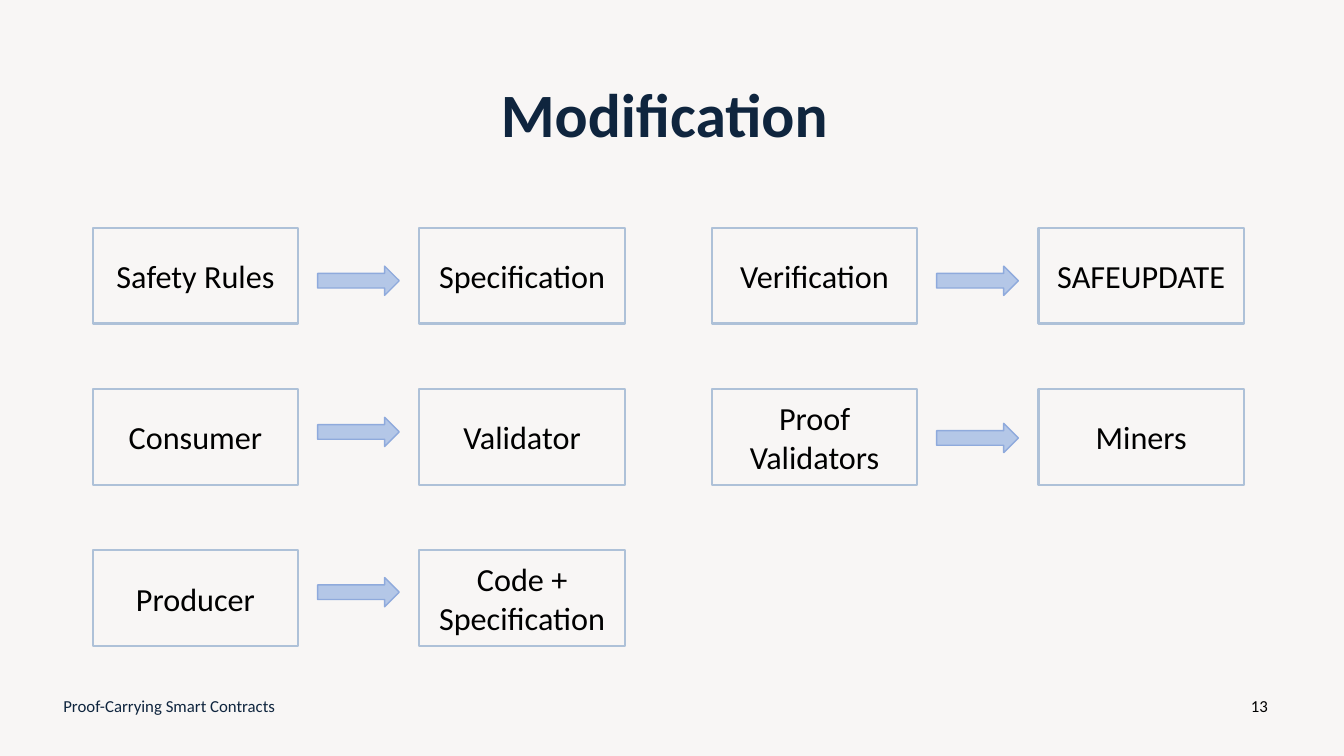
from pptx import Presentation
from pptx.dml.color import RGBColor
from pptx.enum.shapes import MSO_SHAPE
from pptx.enum.text import MSO_ANCHOR, PP_ALIGN
from pptx.util import Inches, Pt

RECTANGLE = MSO_SHAPE.RECTANGLE
RIGHT_ARROW = MSO_SHAPE.RIGHT_ARROW
MIDDLE = MSO_ANCHOR.MIDDLE
LEFT = PP_ALIGN.LEFT
CENTER = PP_ALIGN.CENTER

FONT = "Calibri"
BACKGROUND = "F8F6F5"
NAVY = "0F253E"
BLACK = "000000"
BOX_LINE = "AEC1D8"
ARROW_FILL = "B4C7E7"
ARROW_LINE = "8FAADC"

# Layout of the term pairs
FIRST_ROW, ROW_STEP = 2.26, 1.6
BOX_WIDTH, BOX_HEIGHT = 2.04, 0.95
TARGET_OFFSET, ARROW_OFFSET = 3.24, 2.23

# Left edge of each column, with (old term, new term, arrow top) per row
COLUMNS = [
    (0.92, [
        ("Safety Rules", "Specification", 2.64),
        ("Consumer", "Validator", 4.14),
        ("Producer", "Code + Specification", 5.73),
    ]),
    (7.06, [
        ("Verification", "SAFEUPDATE", 2.64),
        ("Proof Validators", "Miners", 4.2),
    ]),
]


def color(value):
    return RGBColor.from_string(value)


def write_text(shape, text, size, text_color, alignment=CENTER, bold=False):
    frame = shape.text_frame
    frame.word_wrap = True
    frame.vertical_anchor = MIDDLE
    paragraph = frame.paragraphs[0]
    paragraph.text = text
    paragraph.alignment = alignment
    paragraph.font.name = FONT
    paragraph.font.size = Pt(size)
    paragraph.font.bold = bold
    paragraph.font.color.rgb = color(text_color)
    return paragraph


def add_label(slide, left, top, width, height, *text_style, **options):
    box = slide.shapes.add_textbox(
        Inches(left), Inches(top), Inches(width), Inches(height))
    return write_text(box, *text_style, **options)


def add_outlined(slide, kind, left, top, width, height, line, line_width):
    shape = slide.shapes.add_shape(
        kind, Inches(left), Inches(top), Inches(width), Inches(height))
    shape.shadow.inherit = False
    shape.line.color.rgb = color(line)
    shape.line.width = Pt(line_width)
    return shape


def add_term(slide, left, top, text):
    box = add_outlined(slide, RECTANGLE, left, top, BOX_WIDTH, BOX_HEIGHT,
                       BOX_LINE, 1.5)
    box.fill.background()
    write_text(box, text, 23, BLACK)


def add_arrow(slide, left, top):
    arrow = add_outlined(slide, RIGHT_ARROW, left, top, 0.81, 0.29,
                         ARROW_LINE, 1)
    arrow.fill.solid()
    arrow.fill.fore_color.rgb = color(ARROW_FILL)


def main():
    presentation = Presentation()
    presentation.slide_width = Inches(13.33)
    presentation.slide_height = Inches(7.5)
    slide = presentation.slides.add_slide(presentation.slide_layouts[6])
    slide.background.fill.solid()
    slide.background.fill.fore_color.rgb = color(BACKGROUND)

    # Title
    title = add_label(slide, 0.84, 0.44, 11.5, 1.45,
                      "Modification", 44, NAVY, bold=True)
    title.line_spacing = 0.9

    # Term pairs
    for left, pairs in COLUMNS:
        for row, (old_term, new_term, arrow_top) in enumerate(pairs):
            top = FIRST_ROW + row * ROW_STEP
            add_term(slide, left, top, old_term)
            add_arrow(slide, left + ARROW_OFFSET, arrow_top)
            add_term(slide, left + TARGET_OFFSET, top, new_term)

    # Footer and page number
    add_label(slide, 0.53, 6.8, 4.5, 0.4,
              "Proof-Carrying Smart Contracts", 12, NAVY, alignment=LEFT)
    add_label(slide, 12.24, 6.8, 0.5, 0.4, "13", 12, BLACK)

    presentation.save("out.pptx")


if __name__ == "__main__":
    main()
